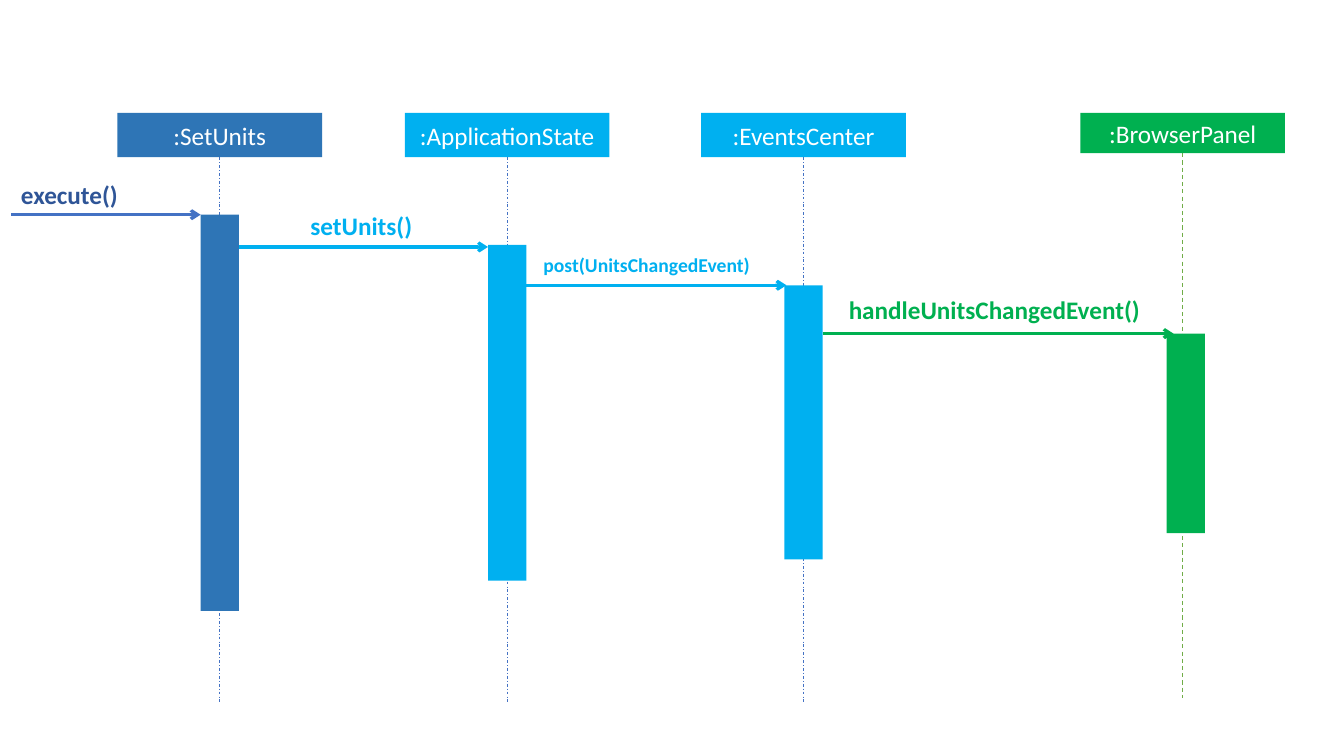
"""Build a sequence diagram of a units change passing between four objects."""
import pptx
import pptx.util
import pptx.oxml.ns
import pptx.dml.color
import pptx.enum.dml
import pptx.enum.shapes
import pptx.enum.text
from lxml import etree

Inches = pptx.util.Inches
Pt = pptx.util.Pt
Dash = pptx.enum.dml.MSO_LINE
qn = pptx.oxml.ns.qn


def paint(color, code):
    color.rgb = pptx.dml.color.RGBColor.from_string(code)


def draw(start, end, code, width):
    line = slide.shapes.add_connector(
        pptx.enum.shapes.MSO_CONNECTOR.STRAIGHT,
        *[Inches(n) for n in (*start, *end)])
    paint(line.line.color, code)
    line.line.width = Pt(width)
    etree.SubElement(line._element.spPr, qn("a:effectLst"))
    return line


deck = pptx.Presentation()
deck.slide_width = Inches(13.33)
deck.slide_height = Inches(7.5)
slide = deck.slides.add_slide(deck.slide_layouts[6])

blue, sky, green = "2E75B6", "00B0F0", "00B050"
top, wide, thin, reach = 1.12, 2.03, 0.38, 5.4

# name, centre, head height, fill, bar centre, bar top, bar height, line style
lanes = [
    (":SetUnits", 2.18, 0.44, blue, 2.18, 2.13, 3.93, ("4472C4", 0.5, Dash.DASH_DOT)),
    (":ApplicationState", 5.03, 0.44, sky, 5.03, 2.43, 3.33, ("4472C4", 0.5, Dash.DASH_DOT)),
    (":EventsCenter", 7.97, 0.44, sky, 7.97, 2.83, 2.72, ("4472C4", 0.5, Dash.DASH_DOT)),
    (":BrowserPanel", 11.73, 0.4, green, 11.76, 3.31, 1.98, ("70AD47", 0.75, Dash.DASH)),
]
for name, mid, tall, fill, axis, high, span, (code, width, dash) in lanes:
    foot = top + tall
    life = draw((mid, foot), (mid, foot + reach), code, width)
    life.line.dash_style = dash
    for x, y, w, h, text in [(mid, top, wide, tall, name), (axis, high, thin, span, "")]:
        box = slide.shapes.add_shape(
            pptx.enum.shapes.MSO_SHAPE.RECTANGLE,
            Inches(x - w / 2), Inches(y), Inches(w), Inches(h))
        box.shadow.inherit = False
        box.fill.solid()
        paint(box.fill.fore_color, fill)
        box.line.fill.background()
        if text:
            life.begin_connect(box, 2)
            frame = box.text_frame
            frame.text = text
            frame.vertical_anchor = pptx.enum.text.MSO_ANCHOR.MIDDLE
            frame.paragraphs[0].alignment = pptx.enum.text.PP_ALIGN.CENTER
            font = frame.paragraphs[0].runs[0].font
            font.name, font.size = "Calibri", Pt(18)
            paint(font.color, "FFFFFF")

calls = [
    ("execute()", 0.11, 1.99, 2.13, "4472C4", (0.11, 1.73, 1.18, 0.4), 18, "2F5597"),
    ("setUnits()", 2.37, 4.84, 2.45, sky, (2.98, 2.04, 1.24, 0.4), 18, sky),
    ("post(UnitsChangedEvent)", 5.22, 7.8, 2.83, sky, (5.29, 2.46, 2.78, 0.34), 14, sky),
    ("handleUnitsChangedEvent()", 8.16, 11.64, 3.31, green, (8.32, 2.87, 3.64, 0.4), 18, green),
]
for text, left, right, y, code, place, size, ink in calls:
    arrow = draw((left, y), (right, y), code, 2.25)
    etree.SubElement(arrow.line._get_or_add_ln(), qn("a:tailEnd"), type="arrow")
    label = slide.shapes.add_textbox(*[Inches(n) for n in place])
    frame = label.text_frame
    frame.word_wrap = True
    frame.auto_size = pptx.enum.text.MSO_AUTO_SIZE.SHAPE_TO_FIT_TEXT
    frame.text = text
    font = frame.paragraphs[0].runs[0].font
    font.name, font.size, font.bold = "Calibri", Pt(size), True
    paint(font.color, ink)

deck.save("out.pptx")
